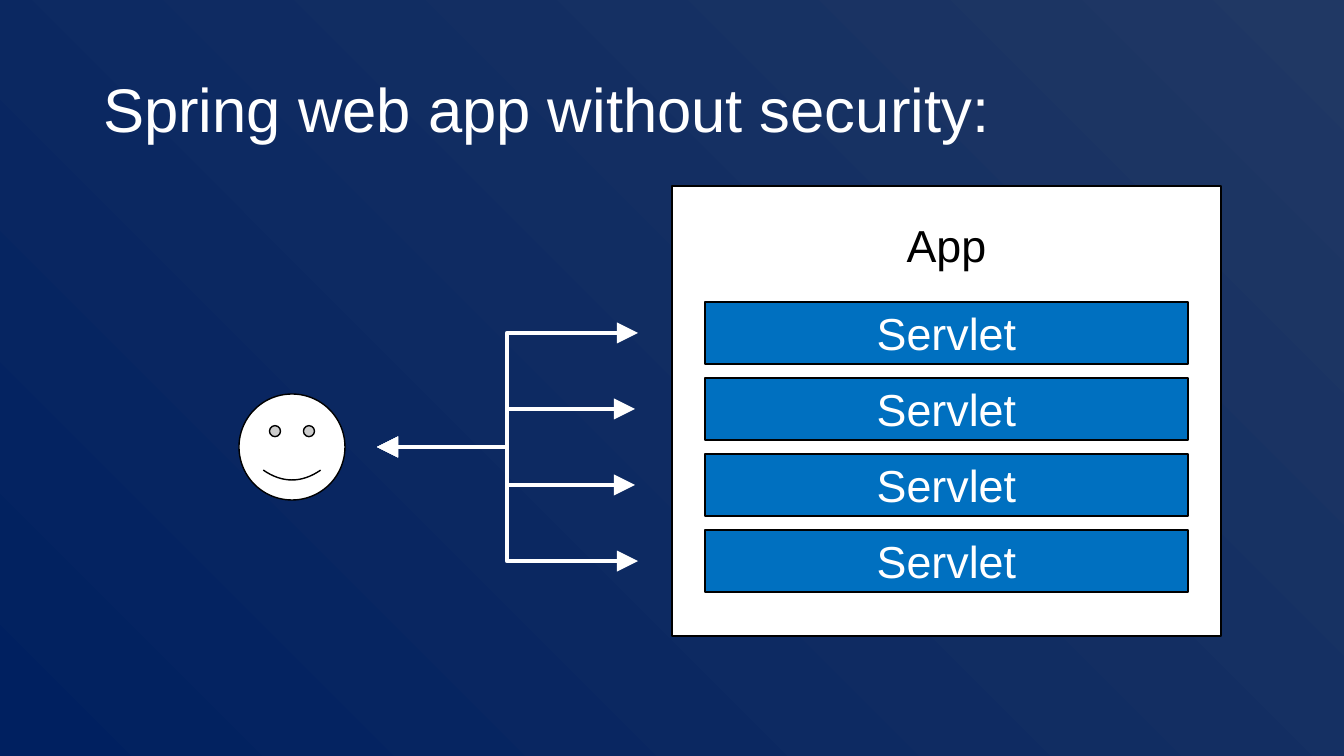
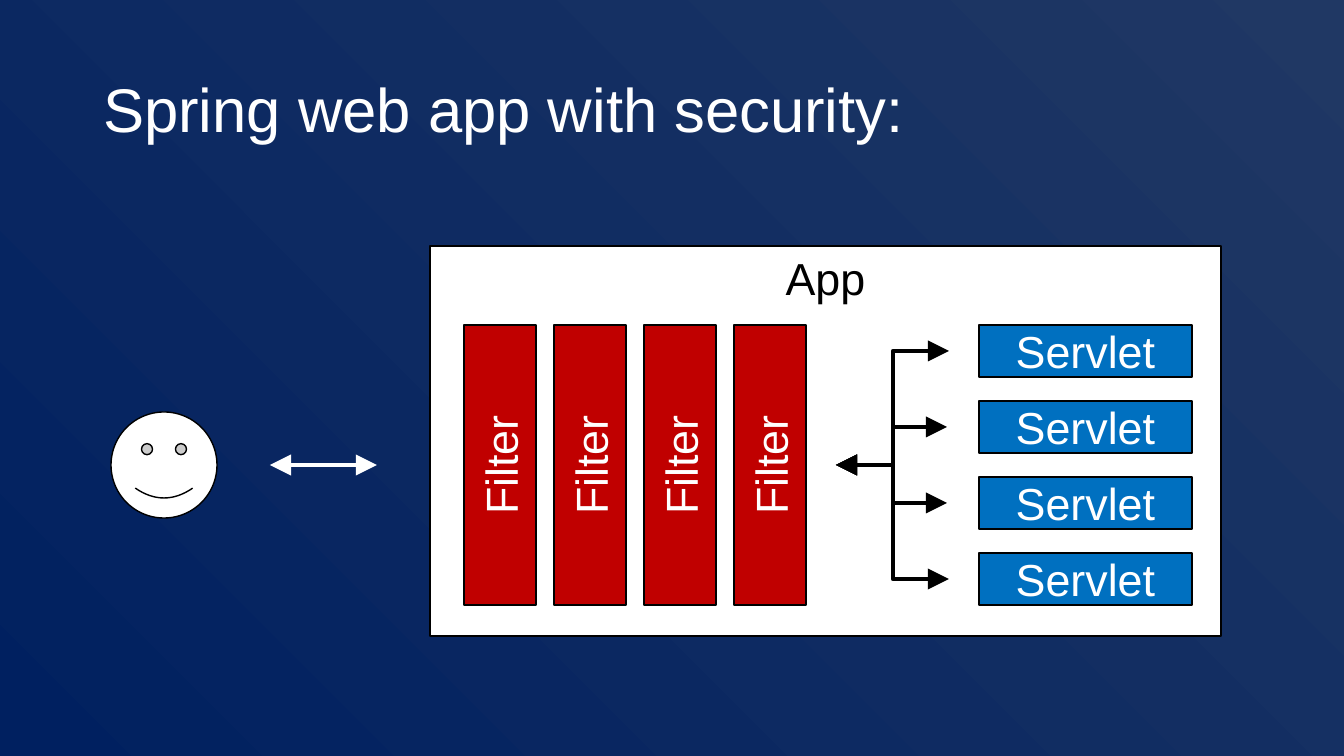
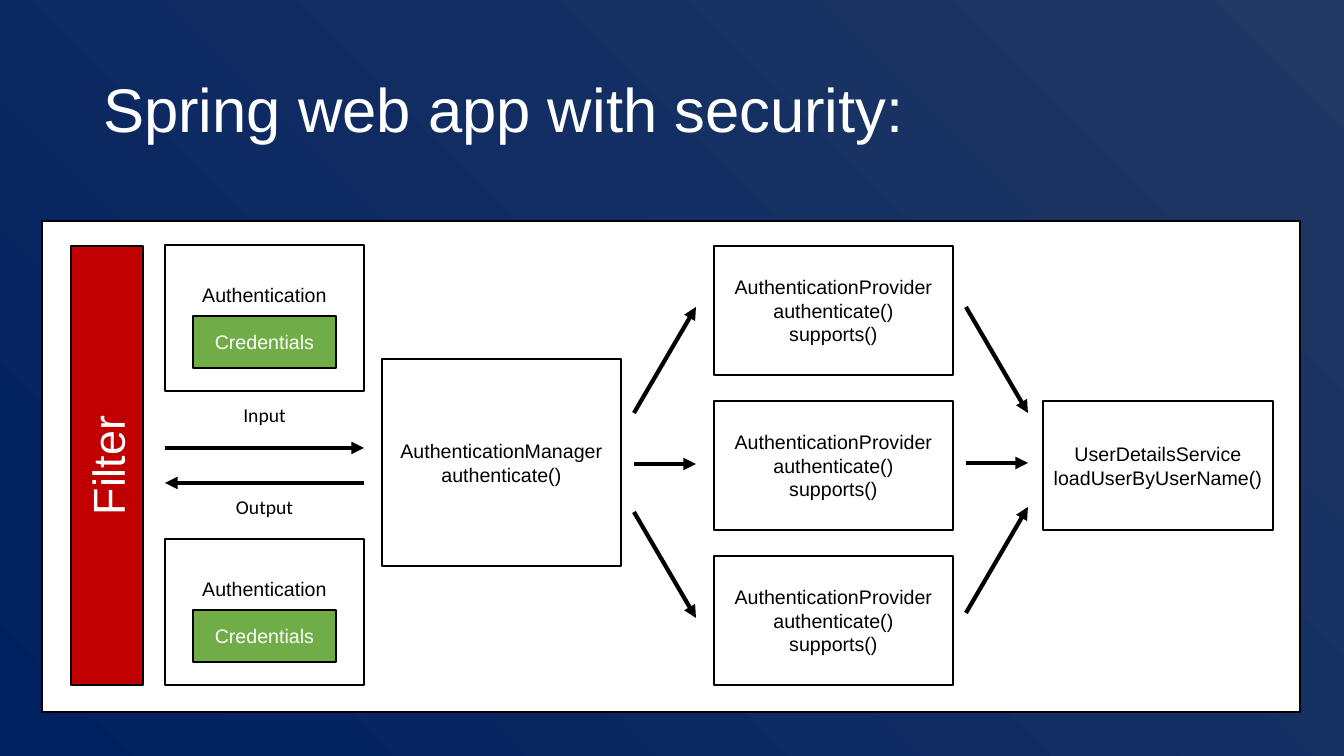
"""Build three slides on how security filters fit into a Spring web app."""
from dataclasses import dataclass, field
from typing import Any

from lxml import etree
from pptx import Presentation
from pptx.dml.color import RGBColor
from pptx.enum.dml import MSO_THEME_COLOR
from pptx.enum.shapes import MSO_CONNECTOR, MSO_SHAPE
from pptx.enum.text import MSO_ANCHOR, PP_ALIGN
from pptx.oxml.ns import qn
from pptx.util import Emu, Pt

RECTANGLE, SMILEY = MSO_SHAPE.RECTANGLE, MSO_SHAPE.SMILEY_FACE
STRAIGHT, ELBOW = MSO_CONNECTOR.STRAIGHT, MSO_CONNECTOR.ELBOW
TOP, MIDDLE = MSO_ANCHOR.TOP, MSO_ANCHOR.MIDDLE
LEFT, CENTER = PP_ALIGN.LEFT, PP_ALIGN.CENTER
BACKGROUND_THEME = MSO_THEME_COLOR.BACKGROUND_1

SLIDE_WIDTH, SLIDE_HEIGHT = 1344, 756
EMU_PER_PX = 12192000 / SLIDE_WIDTH
TITLE_ONLY = 5
WHITE, BLACK = "FFFFFF", "000000"
BLUE, RED, GREEN = "0070C0", "C00000", "70AD47"
GRADIENT = ("203864", "002060")
ROW_STEP = 76
ROW_COUNT = 4


@dataclass(frozen=True)
class Style:
    """Look of a box and its text."""

    fill: str | None = WHITE
    color: str = BLACK
    size: int = 14
    font: str = "Arial"
    align: Any = CENTER
    frame: dict[str, Any] = field(default_factory=lambda: {"vertical_anchor": MIDDLE})
    spacing: float = 1.0
    vertical: bool = False


@dataclass(frozen=True)
class Box:
    """A shape with its place in px, text and style."""

    left: int
    top: int
    width: int
    height: int
    text: str
    style: Style


@dataclass(frozen=True)
class Arrow:
    """A line with its ends in px; a trunk makes it bend there."""

    start: tuple[int, int]
    end: tuple[int, int]
    color: str = BLACK
    trunk: int | None = None
    double: bool = False
    head: str = "med"


@dataclass(frozen=True)
class Fan:
    """Elbow arrows spreading from one point to a column of rows."""

    start: tuple[int, int]
    first_row: int
    trunk: int
    outer_end: int
    inner_end: int
    color: str


TITLE = Style(None, WHITE, 44, align=LEFT, spacing=0.9)
PANEL = Style()
APP = Style(size=32, frame={"vertical_anchor": TOP})
APP_LOOSE = Style(size=32, frame={"vertical_anchor": TOP}, spacing=1.5)
SERVLET = Style(BLUE, WHITE, 32)
FILTER = Style(RED, WHITE, 32, vertical=True)
CREDENTIALS = Style(GREEN, WHITE)
LABEL = Style(None, font="Calibri", frame={"vertical_anchor": TOP})


def px(value: int) -> Emu:
    """Turn px into EMU."""
    return Emu(round(value * EMU_PER_PX))


def rgb(code: str) -> RGBColor:
    """Turn a hex string into a colour."""
    return RGBColor.from_string(code)


def apply(target: Any, values: dict[str, Any]) -> None:
    """Set each named attribute of the target."""
    for name, value in values.items():
        setattr(target, name, value)


def write_text(shape: Any, text: str, style: Style) -> None:
    """Fill a shape with styled paragraphs."""
    text_frame = shape.text_frame
    text_frame.text = text
    apply(text_frame, {"word_wrap": True} | style.frame)
    if style.vertical:
        shape.element.find(".//" + qn("a:bodyPr")).set("vert", "vert270")
    for paragraph in text_frame.paragraphs:
        apply(paragraph, {"alignment": style.align, "line_spacing": style.spacing})
        apply(paragraph.font, {"name": style.font, "size": Pt(style.size)})
        paragraph.font.color.rgb = rgb(style.color)


def outline(shape: Any, fill: str) -> None:
    """Give a shape a plain fill and a thin black line."""
    shape.shadow.inherit = False
    shape.fill.solid()
    shape.fill.fore_color.rgb = rgb(fill)
    shape.line.color.rgb = rgb(BLACK)
    shape.line.width = Pt(1)


def draw_box(slide: Any, box: Box) -> None:
    """Draw a rectangle, or a bare label when there is no fill."""
    place = [px(value) for value in (box.left, box.top, box.width, box.height)]
    if box.style.fill is None:
        shape = slide.shapes.add_textbox(*place)
    else:
        shape = slide.shapes.add_shape(RECTANGLE, *place)
        outline(shape, box.style.fill)
    if box.text:
        write_text(shape, box.text, box.style)


def draw_user(slide: Any, left: int, top: int) -> None:
    """Draw the smiling user."""
    outline(slide.shapes.add_shape(SMILEY, px(left), px(top), px(106), px(106)), WHITE)


def draw_arrow(slide: Any, arrow: Arrow) -> None:
    """Draw a straight or elbow arrow."""
    kind = STRAIGHT if arrow.trunk is None else ELBOW
    ends = [px(value) for value in arrow.start + arrow.end]
    connector = slide.shapes.add_connector(kind, *ends)
    connector.line.color.rgb = rgb(arrow.color)
    connector.line.width = Pt(3)
    properties = connector.element.spPr
    if arrow.trunk is not None:
        share = (arrow.trunk - arrow.start[0]) / (arrow.end[0] - arrow.start[0])
        geometry = properties.find(qn("a:prstGeom"))
        guides = geometry.find(qn("a:avLst"))
        if guides is None:
            guides = etree.SubElement(geometry, qn("a:avLst"))
        etree.SubElement(guides, qn("a:gd"), name="adj1", fmla=f"val {round(share * 100000)}")
    line = properties.find(qn("a:ln"))
    for tag in ("a:headEnd", "a:tailEnd") if arrow.double else ("a:tailEnd",):
        etree.SubElement(line, qn(tag), type="triangle", w=arrow.head, len=arrow.head)
    etree.SubElement(properties, qn("a:effectLst"))


def draw_fan(slide: Any, fan: Fan) -> None:
    """Draw one elbow arrow to each row."""
    for row in range(ROW_COUNT):
        end_x = fan.outer_end if row in (0, ROW_COUNT - 1) else fan.inner_end
        end = (end_x, fan.first_row + row * ROW_STEP)
        draw_arrow(slide, Arrow(fan.start, end, fan.color, fan.trunk, True, "lg"))


def draw_servlets(slide: Any, left: int, top: int, width: int, height: int) -> None:
    """Draw the column of servlets."""
    for row in range(ROW_COUNT):
        draw_box(slide, Box(left, top + row * ROW_STEP, width, height, "Servlet", SERVLET))


def set_background(master: Any) -> None:
    """Give every slide the radial blue background."""
    fill = master.background.fill
    fill.gradient()
    for stop, code in zip(fill.gradient_stops, GRADIENT):
        stop.color.theme_color = BACKGROUND_THEME
        stop.color.rgb = rgb(code)
    linear = next(master.element.iter(qn("a:lin")))
    gradient = linear.getparent()
    gradient.remove(linear)
    radial = etree.SubElement(gradient, qn("a:path"), {"path": "circle"})
    etree.SubElement(radial, qn("a:fillToRect"), l="100000", b="100000")


def add_slide(presentation: Any, title: str) -> Any:
    """Add a slide with the shared title style."""
    slide = presentation.slides.add_slide(presentation.slide_layouts[TITLE_ONLY])
    place = {"left": px(93), "top": px(40), "width": px(1159), "height": px(146)}
    apply(slide.shapes.title, place)
    write_text(slide.shapes.title, title, TITLE)
    return slide


def add_open_app(presentation: Any) -> None:
    """Show requests reaching the servlets directly."""
    slide = add_slide(presentation, "Spring web app without security:")
    draw_box(slide, Box(672, 186, 549, 450, "App", APP_LOOSE))
    draw_user(slide, 239, 394)
    draw_servlets(slide, 705, 302, 483, 62)
    draw_fan(slide, Fan((377, 447), 333, 507, 638, 635, WHITE))


def add_filtered_app(presentation: Any) -> None:
    """Show requests passing the filters first."""
    slide = add_slide(presentation, "Spring web app with security:")
    draw_box(slide, Box(430, 246, 791, 390, "App", APP))
    draw_user(slide, 111, 412)
    draw_arrow(slide, Arrow((377, 465), (270, 465), WHITE, double=True, head="lg"))
    for column in range(4):
        draw_box(slide, Box(464 + column * 90, 325, 72, 280, "Filter", FILTER))
    draw_fan(slide, Fan((836, 465), 351, 893, 949, 947, BLACK))
    draw_servlets(slide, 979, 325, 213, 52)


def add_authentication(presentation: Any) -> None:
    """Show how a filter checks credentials."""
    slide = add_slide(presentation, "Spring web app with security:")
    token = Style(frame={"vertical_anchor": MIDDLE, "margin_bottom": px(52)})
    boxes = [Box(42, 221, 1258, 491, "", PANEL), Box(71, 246, 72, 439, "Filter", FILTER)]
    for top in (245, 539):
        boxes.append(Box(165, top, 199, 146, "Authentication", token))
        boxes.append(Box(193, top + 71, 143, 52, "Credentials", CREDENTIALS))
    boxes += [Box(220, 398, 89, 34, "Input", LABEL), Box(220, 490, 89, 34, "Output", LABEL)]
    boxes.append(Box(382, 359, 239, 207, "AuthenticationManager\nauthenticate()", PANEL))
    provider = "AuthenticationProvider\nauthenticate()\nsupports()"
    boxes += [Box(714, 246 + row * 155, 239, 129, provider, PANEL) for row in range(3)]
    boxes.append(Box(1043, 401, 230, 129, "UserDetailsService\nloadUserByUserName()", PANEL))
    for box in boxes:
        draw_box(slide, box)
    for start, end in (
        ((165, 448), (364, 448)),
        ((364, 483), (165, 483)),
        ((634, 413), (696, 307)),
        ((634, 464), (696, 464)),
        ((634, 512), (696, 618)),
        ((966, 307), (1028, 413)),
        ((966, 463), (1028, 463)),
        ((966, 613), (1028, 507)),
    ):
        draw_arrow(slide, Arrow(start, end))


def main() -> None:
    """Build and save the presentation."""
    presentation = Presentation()
    apply(presentation, {"slide_width": px(SLIDE_WIDTH), "slide_height": px(SLIDE_HEIGHT)})
    set_background(presentation.slide_master)
    add_open_app(presentation)
    add_filtered_app(presentation)
    add_authentication(presentation)
    presentation.save("out.pptx")


if __name__ == "__main__":
    main()
